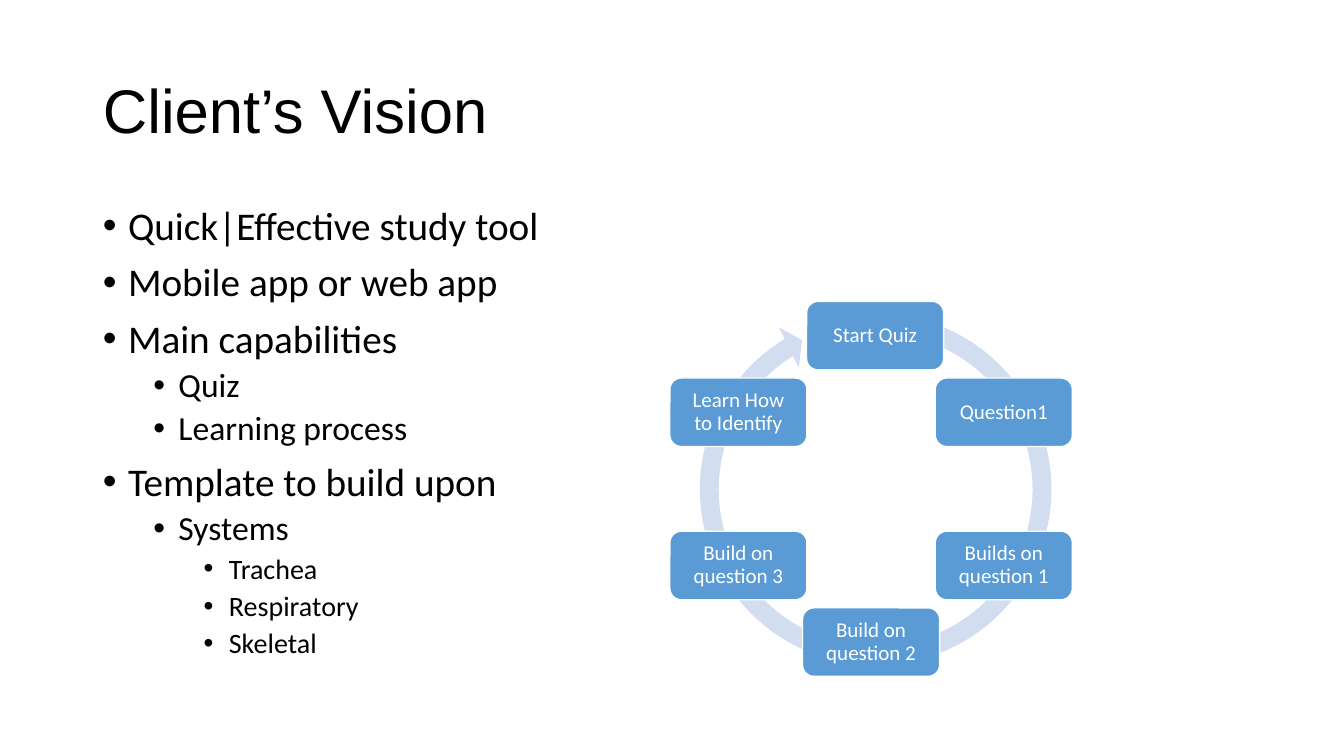
from dataclasses import dataclass
from math import cos, radians, sin

from lxml import etree
from pptx import Presentation
from pptx.dml.color import RGBColor
from pptx.enum.shapes import MSO_SHAPE as SHAPE
from pptx.enum.text import MSO_ANCHOR as ANCHOR, MSO_AUTO_SIZE as AUTO, PP_ALIGN as ALIGN
from pptx.oxml.ns import qn
from pptx.util import Inches, Pt


@dataclass(frozen=True)
class Theme:
    heading: str = "Arial"
    body: str = "Calibri"
    black: str = "000000"
    white: str = "FFFFFF"
    node: str = "5B9BD5"
    ring: str = "D2DEEF"
    title_size: int = 44
    level_sizes: tuple = (28, 24, 20)
    level_gaps: tuple = (10, 5, 5)
    node_size: int = 15


T = Theme()

TITLE = "Client’s Vision"
BULLETS = [
    (0, "Quick|Effective study tool"),
    (0, "Mobile app or web app"),
    (0, "Main capabilities"),
    (1, "Quiz"),
    (1, "Learning process"),
    (0, "Template to build upon"),
    (1, "Systems"),
    (2, "Trachea"),
    (2, "Respiratory"),
    (2, "Skeletal"),
]
STEPS = [
    ("Start Quiz", 0.04),
    ("Question1", 0),
    ("Builds on question 1", 0),
    ("Build on question 2", 0),
    ("Build on question 3", 0),
    ("Learn How to Identify", 0),
]

CENTER_X, CENTER_Y, RADIUS = 8.64, 4.85, 1.52
NODE_W, NODE_H, INSET = 1.36, 0.68, 0.1
RING_BOX = (6.81, 2.98, 3.75, 3.75)
RING_ADJUSTMENTS = (0.05, 3.13, 143.12, 170.78, 0.06)


def rgb(value):
    return RGBColor.from_string(value)


def write(p, text, size, font=T.body, color=T.black, align=ALIGN.LEFT, before=0):
    p.alignment, p.line_spacing, p.space_before = align, 0.9, Pt(before)
    r = p.add_run()
    r.text = text
    r.font.name, r.font.size = font, Pt(size)
    r.font.color.rgb = rgb(color)


def bullet(p, level):
    p.level = level
    pPr = p._p.get_or_add_pPr()
    pPr.set("marL", str(Inches(0.25 + 0.5 * level)))
    pPr.set("indent", str(Inches(-0.25)))
    etree.SubElement(pPr, qn("a:buFont")).set("typeface", T.heading)
    etree.SubElement(pPr, qn("a:buChar")).set("char", "•")


def place(sp, left, top, width, height, anchor):
    sp.left, sp.top, sp.width, sp.height = map(Inches, (left, top, width, height))
    tf = sp.text_frame
    tf.auto_size, tf.word_wrap, tf.vertical_anchor = AUTO.NONE, True, anchor
    return tf


def add_shape(s, kind, box, fill):
    sp = s.shapes.add_shape(kind, *map(Inches, box))
    sp.shadow.inherit = False
    sp.fill.solid()
    sp.fill.fore_color.rgb = rgb(fill)
    sp.line.fill.background()
    return sp


def add_step(s, index, text, shift):
    angle = radians(-90 + index * 360 / len(STEPS))
    left = CENTER_X + RADIUS * cos(angle) - NODE_W / 2 + shift
    top = CENTER_Y + RADIUS * sin(angle) - NODE_H / 2
    sp = add_shape(s, SHAPE.ROUNDED_RECTANGLE, (left, top, NODE_W, NODE_H), T.node)
    sp.line.color.rgb, sp.line.width = rgb(T.white), Pt(1)
    tf = sp.text_frame
    tf.word_wrap, tf.vertical_anchor = True, ANCHOR.MIDDLE
    tf.margin_left = tf.margin_right = tf.margin_top = tf.margin_bottom = Inches(INSET)
    write(tf.paragraphs[0], text, T.node_size, color=T.white, align=ALIGN.CENTER)


prs = Presentation()
prs.slide_width, prs.slide_height = Inches(13.33), Inches(7.5)
s = prs.slides.add_slide(prs.slide_layouts[1])

tf = place(s.shapes.title, 0.92, 0.4, 11.5, 1.45, ANCHOR.MIDDLE)
write(tf.paragraphs[0], TITLE, T.title_size, font=T.heading)

tf = place(s.placeholders[1], 0.92, 2, 11.5, 4.76, ANCHOR.TOP)
for i, (level, text) in enumerate(BULLETS):
    p = tf.add_paragraph() if i else tf.paragraphs[0]
    write(p, text, T.level_sizes[level], before=T.level_gaps[level])
    bullet(p, level)

ring = add_shape(s, SHAPE.CIRCULAR_ARROW, RING_BOX, T.ring)
for i, value in enumerate(RING_ADJUSTMENTS):
    ring.adjustments[i] = value

for i, (text, shift) in enumerate(STEPS):
    add_step(s, i, text, shift)

prs.save("out.pptx")
